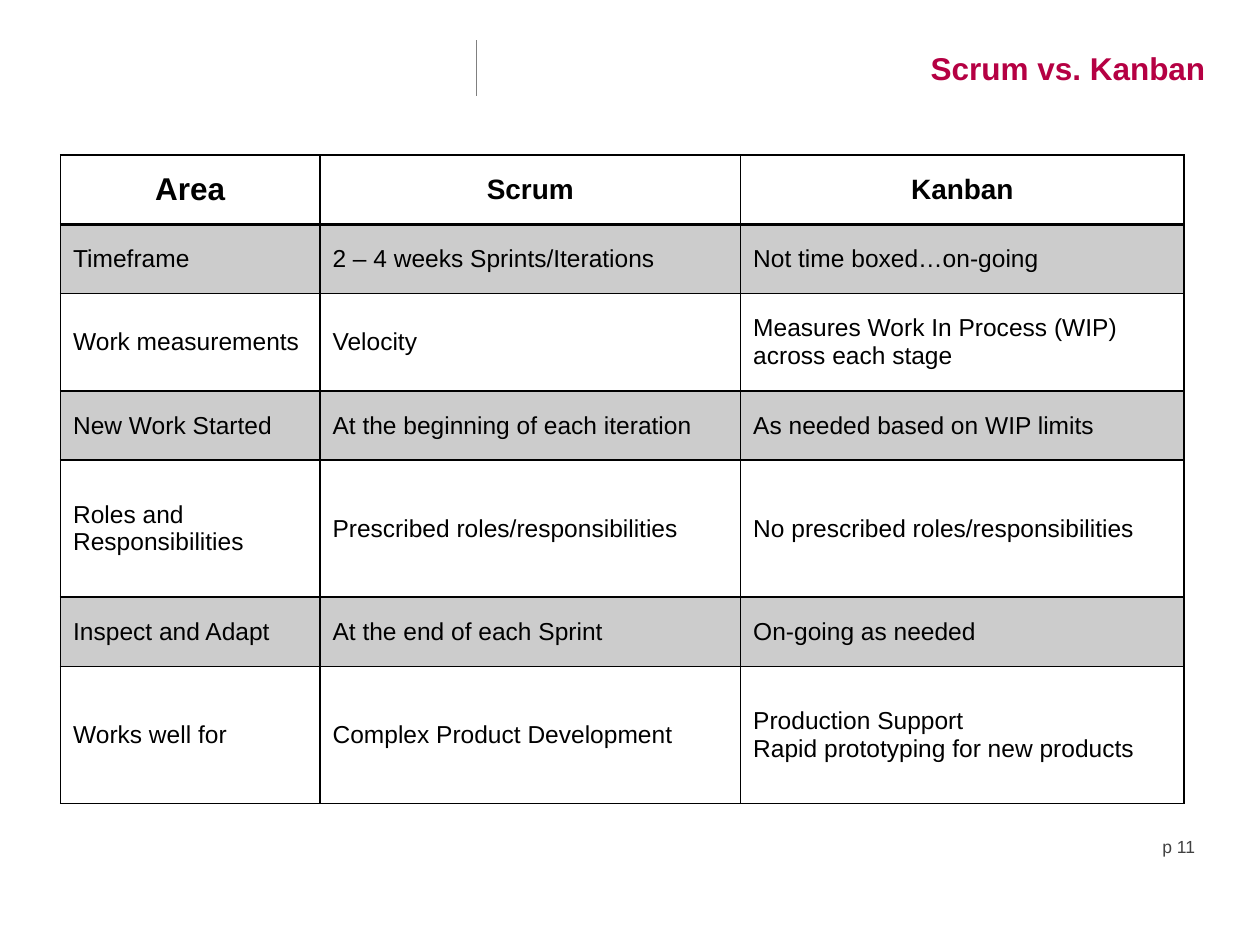
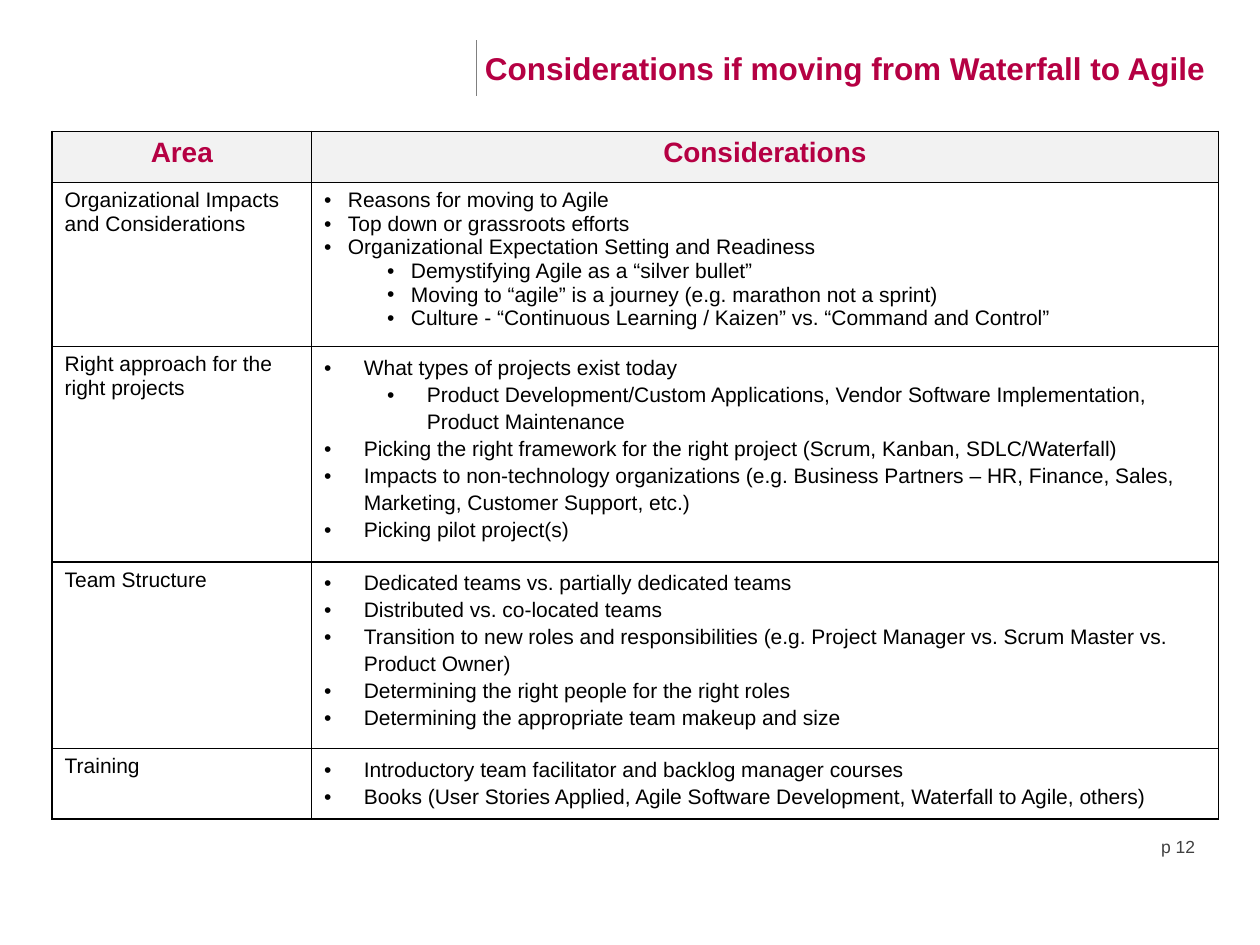
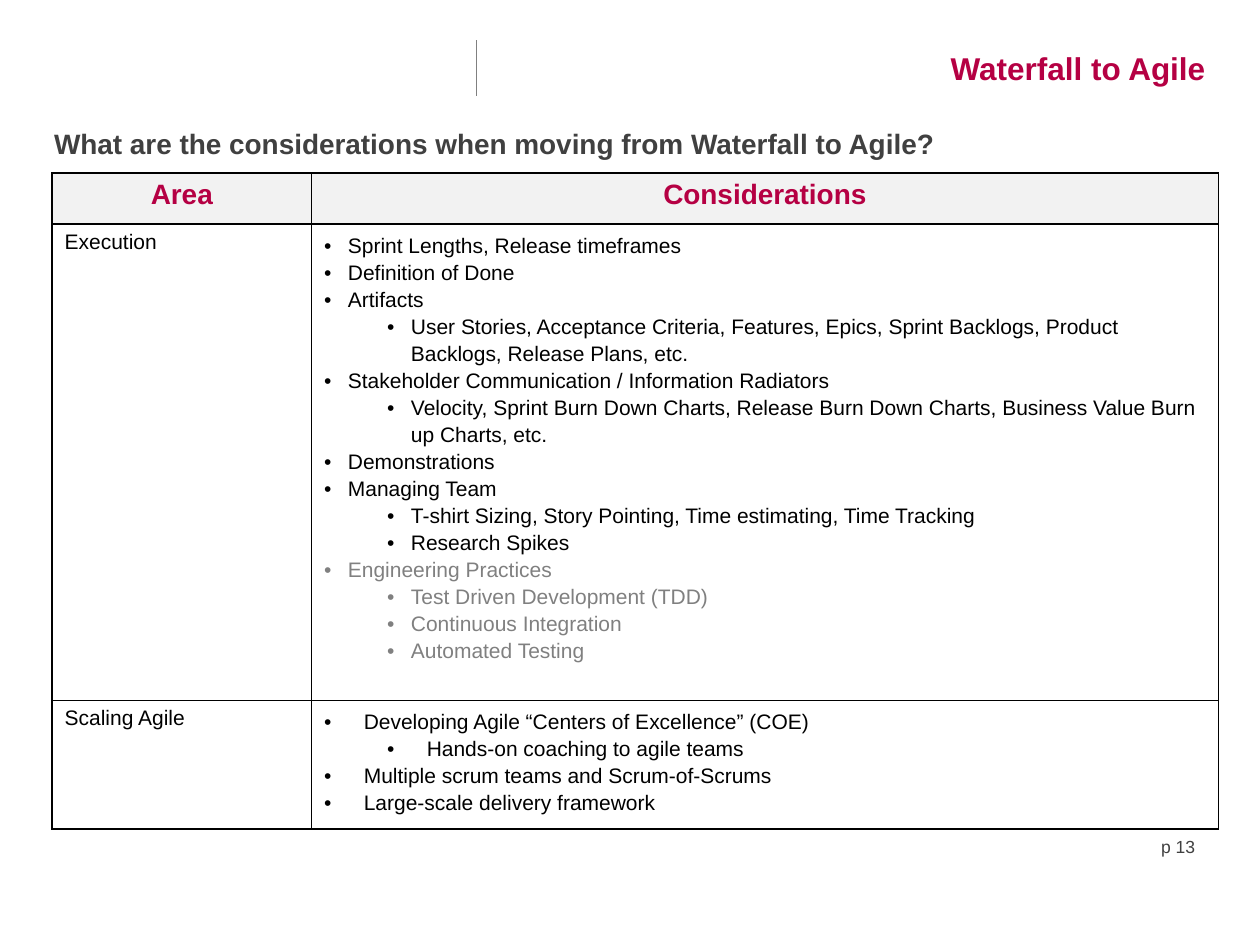
from dataclasses import dataclass
from itertools import product

from lxml.etree import SubElement
from pptx import Presentation
from pptx.dml.color import RGBColor
from pptx.enum.shapes import MSO_CONNECTOR as Connector
from pptx.enum.text import MSO_ANCHOR as Anchor, PP_ALIGN as Align
from pptx.oxml.ns import qn
from pptx.util import Cm, Pt

COLORS = {
    "crimson": "B50043",
    "black": "000000",
    "white": "FFFFFF",
    "charcoal": "404040",
    "muted": "808080",
    "header": "F2F2F2",
    "stripe": "CCCCCC",
}
TYPEFACE = "Arial"
FONTS = {
    "title": {"size": Pt(18), "bold": True},
    "heading": {"size": Pt(16), "bold": True},
    "entry": {"size": Pt(14), "bold": False},
    "detail": {"size": Pt(12), "bold": False},
    "footer": {"size": Pt(10), "bold": False},
}
NARROW, WIDE = 0.48, 0.8
SUBLEVEL_INDENT = 1.27
TITLE_RIGHT = 24.55
TOPIC_COLUMNS = (5.23, 18.28)
COMPARISON_COLUMNS = (5.23, 8.48, 8.94)
COMPARISON = (
    (1.4, ("Area", "Scrum", "Kanban")),
    (1.4, ("Timeframe", "2 – 4 weeks Sprints/Iterations", "Not time boxed…on-going")),
    (1.96, ("Work measurements", "Velocity",
            "Measures Work In Process (WIP) across each stage")),
    (1.4, ("New Work Started", "At the beginning of each iteration",
           "As needed based on WIP limits")),
    (2.76, ("Roles and Responsibilities", "Prescribed roles/responsibilities",
            "No prescribed roles/responsibilities")),
    (1.4, ("Inspect and Adapt", "At the end of each Sprint", "On-going as needed")),
    (2.76, ("Works well for", "Complex Product Development",
            "Production Support\nRapid prototyping for new products")),
)


@dataclass
class Point:
    text: str
    level: int = 0
    ink: str = "black"


@dataclass
class Topic:
    area: str
    height: float
    points: list
    hanging: float = WIDE
    spacing: float = 1.15


MOVING_TOPICS = [
    Topic("Organizational Impacts and Considerations", 3.3, [
        Point("Reasons for moving to Agile"),
        Point("Top down or grassroots efforts"),
        Point("Organizational Expectation Setting and Readiness"),
        Point("Demystifying Agile as a “silver bullet”", 1),
        Point("Moving to “agile” is a journey (e.g. marathon not a sprint)", 1),
        Point("Culture - “Continuous Learning / Kaizen” vs. “Command and Control”", 1),
    ], NARROW, 1.0),
    Topic("Right approach for the right projects", 4.34, [
        Point("What types of projects exist today"),
        Point("Product Development/Custom Applications, Vendor Software "
              "Implementation, Product Maintenance", 1),
        Point("Picking the right framework for the right project "
              "(Scrum, Kanban, SDLC/Waterfall)"),
        Point("Impacts to non-technology organizations (e.g. Business Partners – "
              "HR, Finance, Sales, Marketing, Customer Support, etc.)"),
        Point("Picking pilot project(s)"),
    ]),
    Topic("Team Structure", 3.76, [
        Point("Dedicated teams vs. partially dedicated teams"),
        Point("Distributed vs. co-located teams"),
        Point("Transition to new roles and responsibilities "
              "(e.g. Project Manager vs. Scrum Master vs. Product Owner)"),
        Point("Determining the right people for the right roles"),
        Point("Determining the appropriate team makeup and size"),
    ]),
    Topic("Training", 1.42, [
        Point("Introductory team facilitator and backlog manager courses"),
        Point("Books (User Stories Applied, Agile Software Development, "
              "Waterfall to Agile, others)"),
    ]),
]
EXECUTION_TOPICS = [
    Topic("Execution", 9.6, [
        Point("Sprint Lengths, Release timeframes"),
        Point("Definition of Done"),
        Point("Artifacts"),
        Point("User Stories, Acceptance Criteria, Features, Epics, Sprint Backlogs, "
              "Product Backlogs, Release Plans, etc.", 1),
        Point("Stakeholder Communication / Information Radiators"),
        Point("Velocity, Sprint Burn Down Charts, Release Burn Down Charts, "
              "Business Value Burn up Charts, etc.", 1),
        Point("Demonstrations"),
        Point("Managing Team"),
        Point("T-shirt Sizing, Story Pointing, Time estimating, Time Tracking", 1),
        Point("Research Spikes", 1),
        Point("Engineering Practices", 0, "muted"),
        Point("Test Driven Development (TDD)", 1, "muted"),
        Point("Continuous Integration", 1, "muted"),
        Point("Automated Testing", 1, "muted"),
    ], NARROW),
    Topic("Scaling Agile", 2.59, [
        Point("Developing Agile “Centers of Excellence” (COE)"),
        Point("Hands-on coaching to agile teams", 1),
        Point("Multiple scrum teams and Scrum-of-Scrums"),
        Point("Large-scale delivery framework"),
    ]),
]


def apply(target, values):
    for attribute, value in values.items():
        setattr(target, attribute, value)


def color(name):
    return RGBColor.from_string(COLORS[name])


def write(paragraph, text, style, ink, **layout):
    run = paragraph.add_run()
    run.text = text
    apply(run.font, {"name": TYPEFACE, **FONTS[style]})
    run.font.color.rgb = color(ink)
    apply(paragraph, layout)


def write_lines(frame, text, style, ink, **layout):
    for number, line in enumerate(text.split("\n")):
        paragraph = frame.add_paragraph() if number else frame.paragraphs[0]
        write(paragraph, line, style, ink, **layout)


def write_points(frame, topic):
    for number, point in enumerate(topic.points):
        paragraph = frame.add_paragraph() if number else frame.paragraphs[0]
        write(paragraph, point.text, "detail", point.ink,
              level=point.level, line_spacing=topic.spacing)
        properties = paragraph._p.get_or_add_pPr()
        margin = topic.hanging + point.level * SUBLEVEL_INDENT
        properties.set("marL", str(Cm(margin)))
        properties.set("indent", str(-Cm(topic.hanging)))
        SubElement(properties, qn("a:buFont"), typeface=TYPEFACE)
        SubElement(properties, qn("a:buChar"), char="•")


def add_label(slide, box, text, style, ink, **layout):
    frame = slide.shapes.add_textbox(*map(Cm, box)).text_frame
    frame.word_wrap = True
    write_lines(frame, text, style, ink, **layout)


def add_divider(slide):
    divider = slide.shapes.add_connector(
        Connector.STRAIGHT, Cm(9.6), Cm(0.81), Cm(9.6), Cm(1.93))
    divider.line.color.rgb = color("muted")
    divider.line.width = Pt(0.25)
    SubElement(divider._element.spPr, qn("a:effectLst"))


def add_page(deck, title, number, title_width=14.88):
    slide = deck.slides.add_slide(deck.slide_layouts[6])
    add_label(slide, (TITLE_RIGHT - title_width, 0.86, title_width, 1.02),
              title, "title", "crimson", alignment=Align.RIGHT)
    add_divider(slide)
    add_label(slide, (19.06, 16.72, 5.28, 0.84),
              f"p {number}", "footer", "charcoal", alignment=Align.RIGHT)
    return slide


def format_cell(cell, fill, top=1, bottom=1):
    properties = cell._tc.get_or_add_tcPr()
    for side, width in {"L": 1, "R": 1, "T": top, "B": bottom}.items():
        border = SubElement(properties, qn(f"a:ln{side}"), w=str(Pt(width)))
        ink = SubElement(border, qn("a:solidFill"))
        SubElement(ink, qn("a:srgbClr"), val=COLORS["black"])
    cell.fill.solid()
    cell.fill.fore_color.rgb = color(fill)


def add_grid(slide, left, top, widths, heights):
    grid = slide.shapes.add_table(
        len(heights), len(widths), Cm(left), Cm(top),
        Cm(sum(widths)), Cm(sum(heights))).table
    apply(grid, {"first_row": False, "horz_banding": False})
    for column, width in zip(grid.columns, widths):
        column.width = Cm(width)
    for row, height in zip(grid.rows, heights):
        row.height = Cm(height)
    return grid


def add_comparison(slide):
    heights = [height for height, _ in COMPARISON]
    grid = add_grid(slide, 1.22, 3.12, COMPARISON_COLUMNS, heights)
    for row, column in product(range(len(heights)), range(len(COMPARISON_COLUMNS))):
        cell = grid.cell(row, column)
        format_cell(cell, "stripe" if row % 2 else "white",
                    top=2 if row == 1 else 1, bottom=1 if row else 2)
        cell.vertical_anchor = Anchor.MIDDLE
        header_style = "heading" if column else "title"
        write_lines(cell.text_frame, COMPARISON[row][1][column],
                    "entry" if row else header_style, "black",
                    alignment=Align.LEFT if row else Align.CENTER)


def add_topics(slide, top, topics):
    heights = [1.03] + [topic.height for topic in topics]
    grid = add_grid(slide, 1.05, top, TOPIC_COLUMNS, heights)
    for column, heading in enumerate(("Area", "Considerations")):
        cell = grid.cell(0, column)
        format_cell(cell, "header")
        write_lines(cell.text_frame, heading, "heading", "crimson",
                    alignment=Align.CENTER)
    for row, topic in enumerate(topics, 1):
        area, considerations = grid.cell(row, 0), grid.cell(row, 1)
        for cell in (area, considerations):
            format_cell(cell, "white")
        write_lines(area.text_frame, topic.area, "detail", "black")
        write_points(considerations.text_frame, topic)


def main():
    deck = Presentation()
    apply(deck, {"slide_width": Cm(25.4), "slide_height": Cm(19.05)})

    add_comparison(add_page(deck, "Scrum vs. Kanban", 11))

    moving = add_page(deck, "Considerations if moving from Waterfall to Agile", 12, 15.27)
    add_topics(moving, 2.65, MOVING_TOPICS)

    execution = add_page(deck, "Waterfall to Agile", 13)
    add_topics(execution, 3.49, EXECUTION_TOPICS)
    add_label(execution, (0.84, 2.43, 24.08, 0.79),
              "What are the considerations when moving from Waterfall to Agile?",
              "heading", "charcoal", space_before=Pt(3))

    deck.save("out.pptx")


if __name__ == "__main__":
    main()
